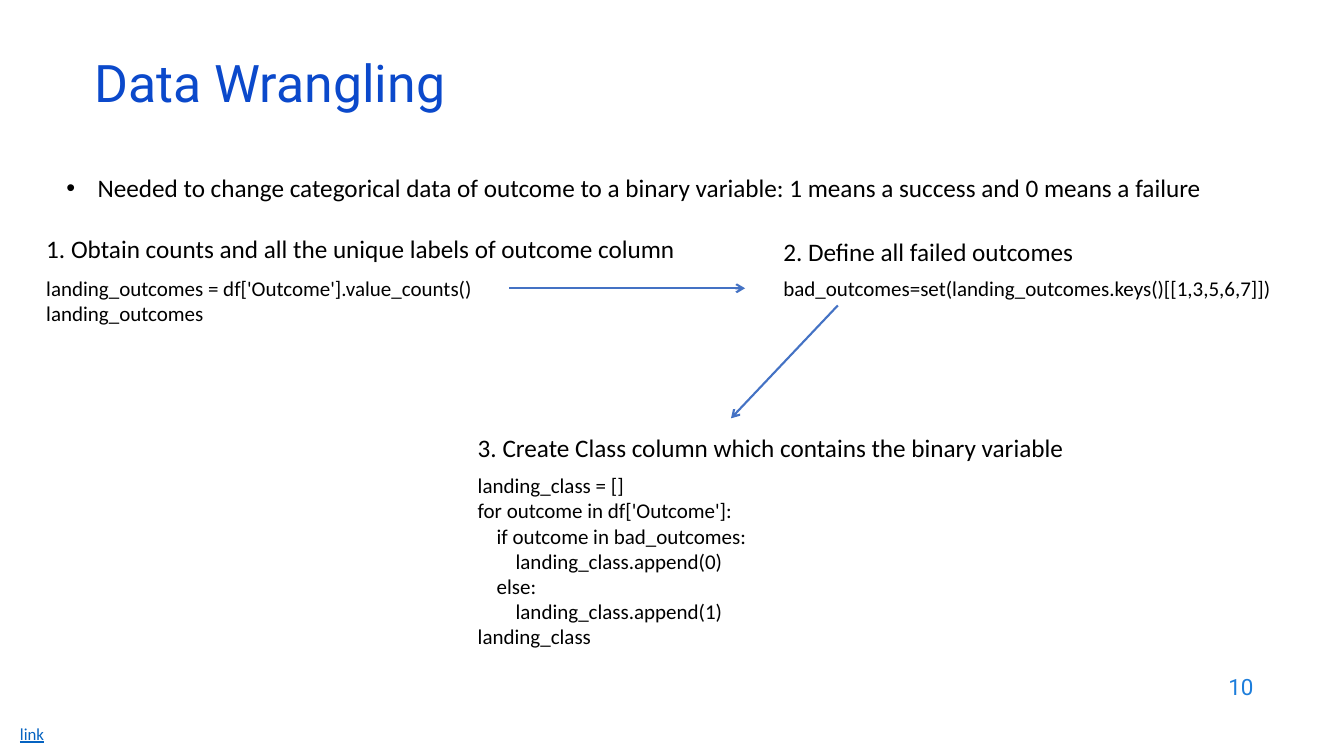
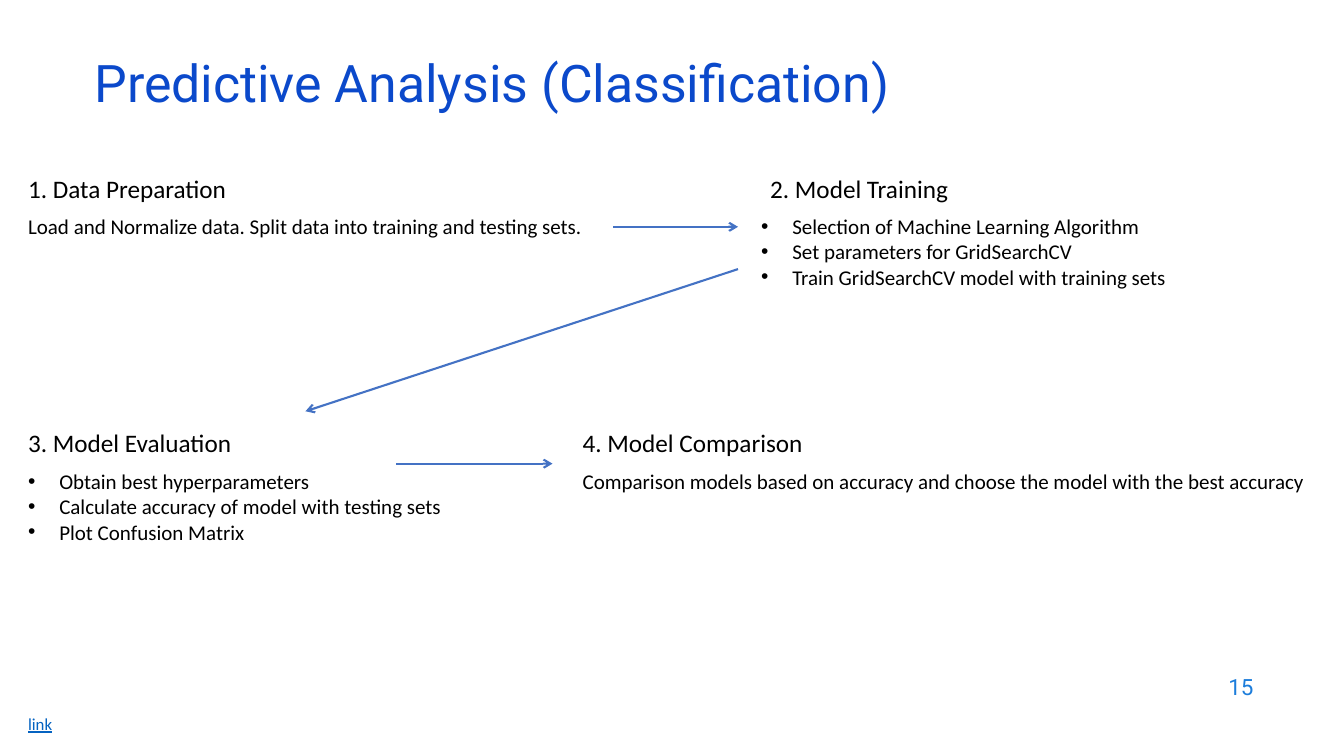
import pptx
import pptx.enum.shapes
import pptx.enum.text
import pptx.oxml.ns
import pptx.util
from lxml import etree
from pptx.util import Inches, Pt

COLORS = {"title": "0B49CB", "number": "1C7DDB", "link": "0563C1",
          "text": "000000", "arrow": "4472C4", "background": "FFFFFF"}

# Each step: heading, heading box (left, top, width), body lines,
# body box (left, top, width), bulleted or not. Arrows: start, end.
SLIDES = [
    {
        "title": "Data Wrangling",
        "number": "10",
        "link": (0.1, 7.13),
        "intro": "Needed to change categorical data of outcome to a binary variable: "
                 "1 means a success and 0 means a failure",
        "steps": [
            ("1. Obtain counts and all the unique labels of outcome column",
             (0.36, 2.27, 6.49),
             ["landing_outcomes = df['Outcome'].value_counts()",
              "landing_outcomes"],
             (0.36, 2.68, 4.45), False),
            ("2. Define all failed outcomes", (7.67, 2.3, 4.51),
             ["bad_outcomes=set(landing_outcomes.keys()[[1,3,5,6,7]])"],
             (7.67, 2.68, 5.19), False),
            ("3. Create Class column which contains the binary variable",
             (4.64, 4.24, 6.27),
             ["landing_class = []",
              "for outcome in df['Outcome']:",
              "    if outcome in bad_outcomes:",
              "        landing_class.append(0)",
              "    else:",
              "        landing_class.append(1)",
              "landing_class"],
             (4.64, 4.64, 4.06), False),
        ],
        "arrows": [((5.05, 2.86), (7.39, 2.86)), ((8.31, 3.03), (7.25, 4.15))],
    },
    {
        "title": "Predictive Analysis (Classification)",
        "number": "15",
        "link": (0.18, 7.03),
        "intro": None,
        "steps": [
            ("1. Data Preparation", (0.18, 1.67, 5.5),
             ["Load and Normalize data. Split data into training and testing sets."],
             (0.18, 2.07, 5.71), False),
            ("2. Model Training", (7.54, 1.67, 3.85),
             ["Selection of Machine Learning Algorithm",
              "Set parameters for GridSearchCV",
              "Train GridSearchCV model with training sets"],
             (7.45, 2.07, 4.32), True),
            ("3. Model Evaluation", (0.18, 4.19, 3.67),
             ["Obtain best hyperparameters",
              "Calculate accuracy of model with testing sets",
              "Plot Confusion Matrix"],
             (0.18, 4.6, 4.44), True),
            ("4. Model Comparison", (5.68, 4.19, 5.54),
             ["Comparison models based on accuracy and choose the model "
              "with the best accuracy"],
             (5.68, 4.6, 7.48), False),
        ],
        "arrows": [((6.08, 2.25), (7.32, 2.25)), ((7.32, 2.67), (3.03, 4.08)),
                   ((3.93, 4.6), (5.48, 4.6))],
    },
]

HEADING_SIZE, BODY_SIZE, LINK_SIZE = 18, 15, 12
HEADING_HEIGHT = 0.4
LINE_HEIGHT, BOX_MARGINS = 0.25, 0.1
BULLET_INDENT = 0.31


def rgb(name):
    return pptx.dml.color.RGBColor.from_string(COLORS[name])


def add_bullet(p):
    pPr = p._p.get_or_add_pPr()
    pPr.set("marL", str(Inches(BULLET_INDENT)))
    pPr.set("indent", str(-Inches(BULLET_INDENT)))
    font = etree.SubElement(pPr, pptx.oxml.ns.qn("a:buFont"))
    font.set("typeface", "Arial")
    etree.SubElement(pPr, pptx.oxml.ns.qn("a:buChar")).set("char", "•")


def add_text(slide, box, lines, size, color="text", font="Calibri",
             bullets=False, middle=False, underline=None):
    """Add a wrapped text box with one paragraph a line; return its text frame."""
    tf = slide.shapes.add_textbox(*(Inches(v) for v in box)).text_frame
    tf.word_wrap = True
    if middle:
        tf.vertical_anchor = pptx.enum.text.MSO_ANCHOR.MIDDLE
    for i, line in enumerate(lines):
        p = tf.add_paragraph() if i else tf.paragraphs[0]
        if bullets:
            add_bullet(p)
        r = p.add_run()
        r.text = line
        r.font.name = font
        r.font.size = Pt(size)
        r.font.underline = underline
        r.font.color.rgb = rgb(color)
    return tf


def add_arrow(slide, start, end):
    line = slide.shapes.add_connector(
        pptx.enum.shapes.MSO_CONNECTOR.STRAIGHT,
        *(Inches(v) for v in start + end))
    line.line.color.rgb = rgb("arrow")
    line.line.width = Pt(1.5)
    ln = line.line._get_or_add_ln()
    etree.SubElement(ln, pptx.oxml.ns.qn("a:tailEnd")).set("type", "arrow")
    etree.SubElement(line._element.spPr, pptx.oxml.ns.qn("a:effectLst"))


def add_frame(slide, content):
    """Add what every slide has: background, title, page number and link."""
    fill = slide.background.fill
    fill.solid()
    fill.fore_color.rgb = rgb("background")
    tf = add_text(slide, (0.84, 0.59, 11.5, 0.6), [content["title"]], 37,
                  "title", "Roboto", middle=True)
    tf.paragraphs[0].line_spacing = 0.7
    tf = add_text(slide, (9.53, 6.59, 3, 0.44), [content["number"]], 16,
                  "number", "Roboto", middle=True)
    tf.paragraphs[0].alignment = pptx.enum.text.PP_ALIGN.RIGHT
    add_text(slide, (*content["link"], 1, 0.3), ["link"], LINK_SIZE,
             "link", underline=True)


def add_step(slide, heading, heading_box, lines, body_box, bullets):
    add_text(slide, (*heading_box, HEADING_HEIGHT), [heading], HEADING_SIZE)
    height = len(lines) * LINE_HEIGHT + BOX_MARGINS
    add_text(slide, (*body_box, height), lines, BODY_SIZE, bullets=bullets)


def main():
    prs = pptx.Presentation()
    prs.slide_width, prs.slide_height = Inches(13.33), Inches(7.5)
    for content in SLIDES:
        slide = prs.slides.add_slide(prs.slide_layouts[6])
        add_frame(slide, content)
        if content["intro"]:
            add_text(slide, (0.56, 1.66, 11.78, HEADING_HEIGHT),
                     [content["intro"]], HEADING_SIZE, bullets=True)
        for step in content["steps"]:
            add_step(slide, *step)
        for start, end in content["arrows"]:
            add_arrow(slide, start, end)
    prs.save("out.pptx")


if __name__ == "__main__":
    main()
